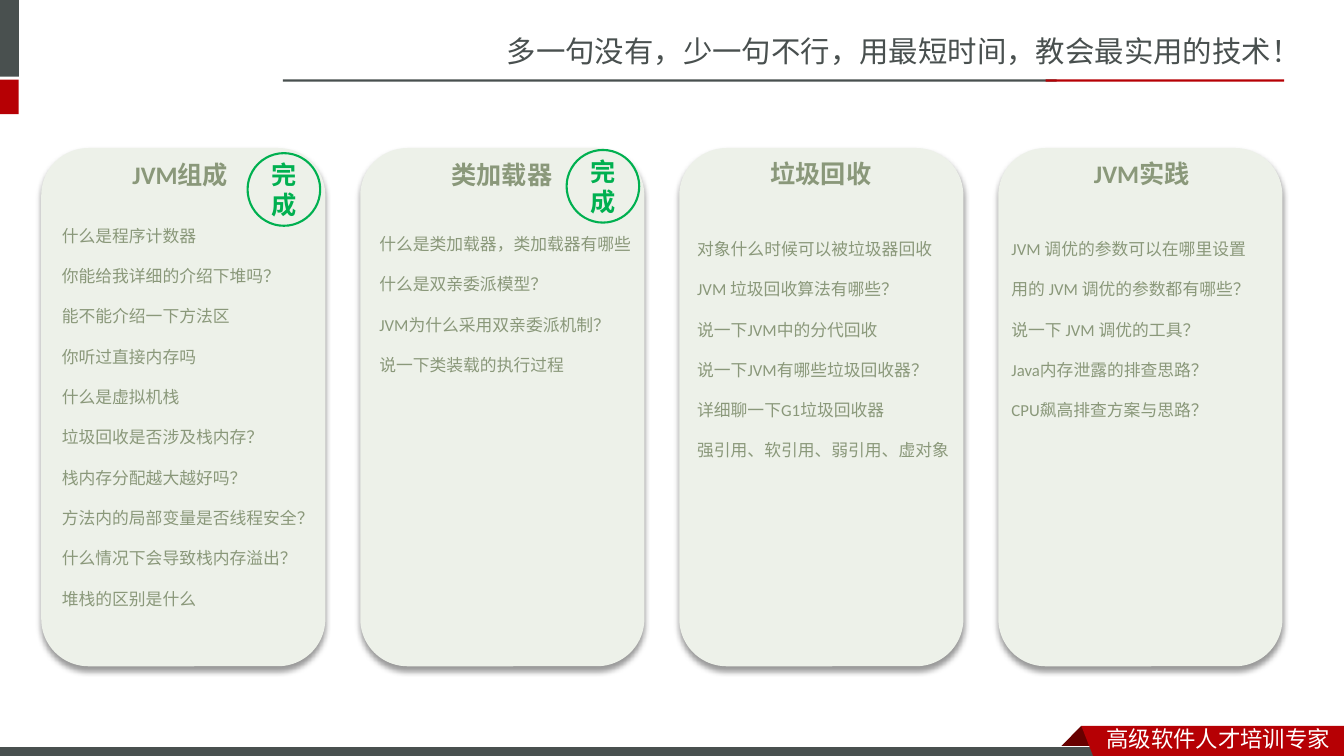
from pptx import Presentation
from pptx.dml.color import RGBColor
from pptx.enum.shapes import MSO_SHAPE
from pptx.enum.text import MSO_ANCHOR, PP_ALIGN
from pptx.oxml import parse_xml
from pptx.oxml.ns import nsdecls
from pptx.util import Cm, Pt

# Content
SLOGAN = "多一句没有，少一句不行，用最短时间，教会最实用的技术！"
FOOTER = "高级软件人才培训专家"
DONE = "完成"
SC, JP = "Noto Sans CJK SC", "Noto Sans CJK JP"
# heading, (heading dx, top), (items dx, top), badge top, items font, items; cm
CARDS = [
    ("JVM组成", (2.05, 3.89), (0.27, 5.05), 3.86, JP, [
        "什么是程序计数器",
        "你能给我详细的介绍下堆吗？",
        "能不能介绍一下方法区",
        "你听过直接内存吗",
        "什么是虚拟机栈",
        "垃圾回收是否涉及栈内存？",
        "栈内存分配越大越好吗？",
        "方法内的局部变量是否线程安全？",
        "什么情况下会导致栈内存溢出？",
        "堆栈的区别是什么"]),
    ("类加载器", (2.05, 3.89), (0.23, 5.26), 3.78, "Calibri", [
        "什么是类加载器，类加载器有哪些",
        "什么是双亲委派模型？",
        "JVM为什么采用双亲委派机制？",
        "说一下类装载的执行过程"]),
    ("垃圾回收", (2.05, 3.86), (0.2, 5.38), None, "Calibri", [
        "对象什么时候可以被垃圾器回收",
        "JVM 垃圾回收算法有哪些？",
        "说一下JVM中的分代回收",
        "说一下JVM有哪些垃圾回收器？",
        "详细聊一下G1垃圾回收器",
        "强引用、软引用、弱引用、虚对象"]),
    ("JVM实践", (2.16, 3.86), (0.08, 5.38), None, "Calibri", [
        "JVM 调优的参数可以在哪里设置",
        "用的 JVM 调优的参数都有哪些？",
        "说一下 JVM 调优的工具？",
        "Java内存泄露的排查思路？",
        "CPU飙高排查方案与思路？"]),
]

# Colours
GREY = RGBColor(0x49, 0x50, 0x4F)
RED = RGBColor(0xB6, 0x00, 0x04)
DARK_RED = RGBColor(0x68, 0x00, 0x00)
WHITE = RGBColor(0xFF, 0xFF, 0xFF)
CARD_FILL = RGBColor(0xED, 0xF1, 0xE9)
SAGE = RGBColor(0x8A, 0x98, 0x7A)
GREEN = RGBColor(0x00, 0xB0, 0x50)

# Layout in cm
CARD_LEFT, CARD_STEP = 1.04, 8.04
CARD_TOP, CARD_W, CARD_H = 3.73, 7.16, 13.06
BADGE_DX, BADGE_SIZE = 5.2, 1.83

prs = Presentation()
prs.slide_width, prs.slide_height = Cm(33.87), Cm(19.05)
s = prs.slides.add_slide(prs.slide_layouts[6])


def paint(sp, fill=None, line=None, width=0.75):
    sp.shadow.inherit = False
    if fill is None:
        sp.fill.background()
    else:
        sp.fill.solid()
        sp.fill.fore_color.rgb = fill
    if line is None:
        sp.line.fill.background()
    else:
        sp.line.color.rgb = line
        sp.line.width = Pt(width)


def add_shape(kind, box, fill=None, line=None, width=0.75):
    sp = s.shapes.add_shape(kind, *map(Cm, box))
    paint(sp, fill, line, width)
    return sp


def add_outline(points, fill):
    builder = s.shapes.build_freeform(*map(Cm, points[0]), scale=1.0)
    builder.add_line_segments([(Cm(x), Cm(y)) for x, y in points[1:]])
    paint(builder.convert_to_shape(), fill)


def write(tf, lines, size, font, color, bold=False, spacing=None, align=PP_ALIGN.LEFT):
    tf.word_wrap = True
    for i, line in enumerate(lines):
        p = tf.paragraphs[0] if i == 0 else tf.add_paragraph()
        p.text = line
        p.alignment = align
        p.line_spacing = spacing
        p.font.size, p.font.bold, p.font.name = Pt(size), bold, font
        p.font.color.rgb = color
        east = font if font in (SC, JP) else SC
        p._p.pPr.defRPr.append(parse_xml(f'<a:ea {nsdecls("a")} typeface="{east}"/>'))


def add_text(box, lines, *style, **options):
    write(s.shapes.add_textbox(*map(Cm, box)).text_frame, lines, *style, **options)


def add_soft_shadow(sp):
    sp._element.spPr.effectLst.append(parse_xml(
        f'<a:outerShdw {nsdecls("a")} blurRad="{Pt(4)}" dist="{Pt(3)}" dir="5400000" '
        'algn="t" rotWithShape="0"><a:srgbClr val="000000"><a:alpha val="40000"/>'
        '</a:srgbClr></a:outerShdw>'))


# Header
add_text((12.52, 0.71, 21.35, 1.19), [SLOGAN], 21, SC, GREY)
for box, color in [
    ((-0.15, 0, 0.63, 1.93), GREY),
    ((-0.15, 2.01, 0.62, 0.87), RED),
    ((7.13, 2, 19.5, 0.06), GREY),
    ((26.35, 2, 6.01, 0.06), RED),
]:
    add_shape(MSO_SHAPE.RECTANGLE, box, color)

# Footer ribbon
add_outline([(27.25, 18.29), (27.81, 18.85), (27.79, 18.87), (26.72, 18.87),
             (26.7, 18.85)], DARK_RED)
add_shape(MSO_SHAPE.RECTANGLE, (-0.03, 18.82, 27.94, 0.3), GREY, WHITE)
add_outline([(27.25, 18.29), (33.87, 18.29), (33.87, 19.15), (27.58, 19.13)], RED)
add_text((27.64, 18.16, 6.22, 0.94), [FOOTER], 16, SC, WHITE)

# Topic cards
for i, (heading, (head_dx, head_top), (items_dx, items_top), badge_top,
        font, items) in enumerate(CARDS):
    left = CARD_LEFT + i * CARD_STEP
    card = add_shape(MSO_SHAPE.ROUNDED_RECTANGLE, (left, CARD_TOP, CARD_W, CARD_H), CARD_FILL)
    add_soft_shadow(card)
    add_text((left + head_dx, head_top, 3.89, 1.02), [heading], 18, "Calibri", SAGE, bold=True)
    add_text((left + items_dx, items_top, 6.88, 0.25 + 1.02 * len(items)), items,
             12, font, SAGE, spacing=2.0)
    if badge_top is not None:
        badge = add_shape(MSO_SHAPE.OVAL, (left + BADGE_DX, badge_top, BADGE_SIZE, BADGE_SIZE),
                          line=GREEN, width=1.5)
        badge.text_frame.vertical_anchor = MSO_ANCHOR.MIDDLE
        write(badge.text_frame, [DONE], 18, "Courier New", GREEN, bold=True,
              align=PP_ALIGN.CENTER)

prs.save("out.pptx")
